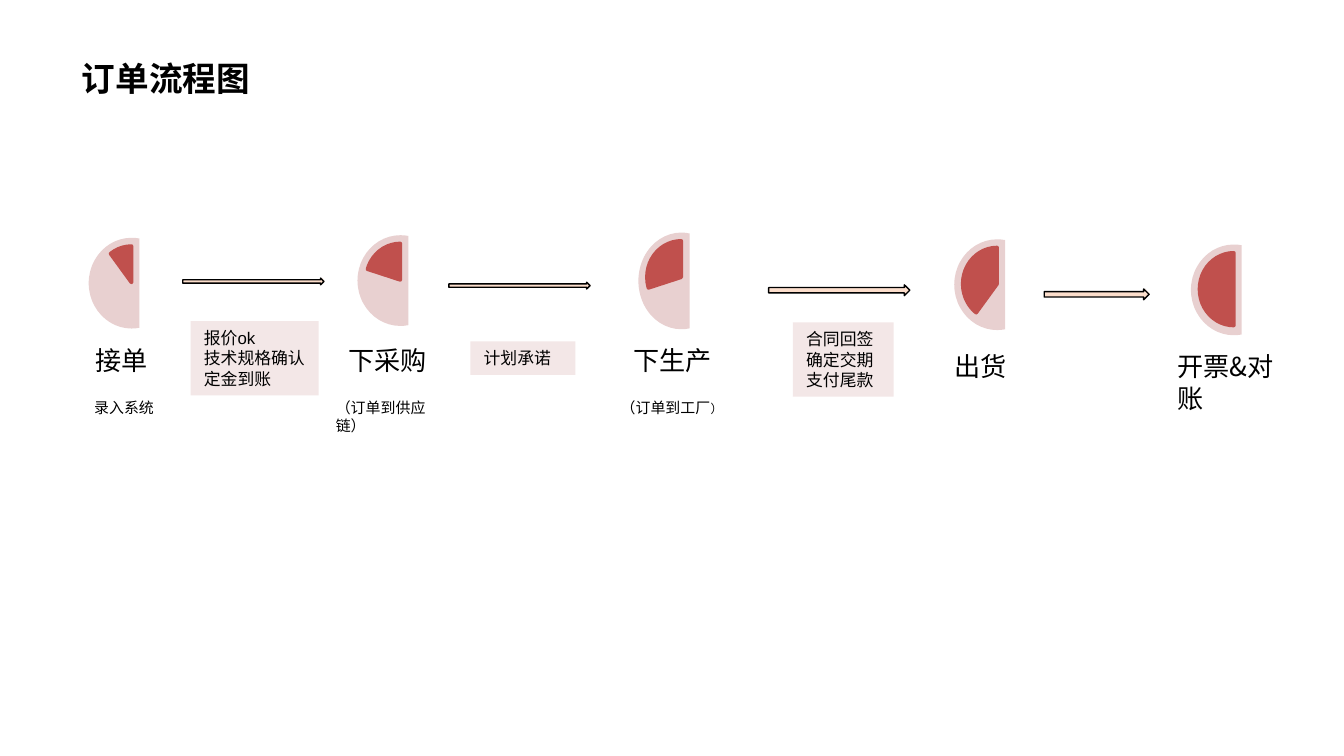
from lxml import etree
from pptx import Presentation
from pptx.dml.color import RGBColor
from pptx.enum.shapes import MSO_SHAPE
from pptx.enum.text import MSO_ANCHOR, PP_ALIGN
from pptx.oxml.ns import qn
from pptx.util import Pt

CHORD, PIE = MSO_SHAPE.CHORD, MSO_SHAPE.PIE
RECTANGLE, RIGHT_ARROW = MSO_SHAPE.RECTANGLE, MSO_SHAPE.RIGHT_ARROW
TOP, BOTTOM = MSO_ANCHOR.TOP, MSO_ANCHOR.BOTTOM
LEFT = PP_ALIGN.LEFT

THEME = {
    "cjk": "Noto Sans CJK SC", "latin": "Arial",
    "ink": "000000", "dial": "E8D0D0", "progress": "C0504D",
    "arrow": [(0, "FDCAAC"), (50, "FBBF9C"), (100, "FFB68A")], "alpha": 50,
    "title": 18, "stage": 14, "note": 9, "detail": 8, "small": 6.5,
}
DEFAULT_INSETS = (7.2, 3.6, 7.2, 3.6)
EVEN_INSETS = (3.6, 3.6, 3.6, 3.6)
NO_INSETS = (0, 0, 0, 0)
NOTE_INSETS = (7.2, 3.6, 0, 3.6)

TITLE = "订单流程图"
TITLE_BOX = (36.7, 27.4, 429.8, 29)
STAGES = [
    {"name": "接单", "dial": (47.5, 127.4, 48.6), "box": (51.1, 184.3, 31, 17.3)},
    {"name": "下采购", "dial": (191.5, 126, 48.6), "box": (186.5, 184.3, 56.2, 17.3)},
    {"name": "下生产", "dial": (342, 124.6, 51.8), "box": (339.1, 185, 51.8, 16.6)},
    {"name": "出货", "dial": (511.2, 128.2, 48.6), "box": (511.2, 184.3, 38.2, 20.2)},
    {"name": "开票&对账", "dial": (638, 131, 48.6), "box": (627.1, 184.3, 70.6, 41),
     "format": {"insets": EVEN_INSETS}},
]
STAGE_FORMAT = {"insets": NO_INSETS, "anchor": BOTTOM, "spacing": 0.9}
DETAILS = [
    ([("录入系统", "detail")], (46.8, 210.2, 44.6, 16.6), "cjk", EVEN_INSETS),
    ([("（订单到供应链）", "detail")], (172.8, 210.2, 75.6, 16.6), "cjk", DEFAULT_INSETS),
    ([("（订单到工厂", "detail"), ("）", "small")], (325.4, 210.2, 79.2, 16.6),
     "latin", DEFAULT_INSETS),
]
NOTES = [
    (["报价ok", "技术规格确认", "定金到账"], (102.2, 172.1, 68.6, 39.8)),
    (["计划承诺"], (252, 182.9, 56.2, 18)),
    (["合同回签", "确定交期", "支付尾款"], (424.8, 172.8, 54, 39.8)),
]
ARROWS = [
    (97.9, 149, 75.6, 3.6),
    (240.5, 151.2, 75.6, 3.6),
    (411.8, 152.6, 75.6, 5.8),
    (559.4, 154.8, 56.2, 5.8),
]


def points(box):
    return [Pt(length) for length in box]


def write(holder, paragraphs, font="cjk", bold=False, insets=DEFAULT_INSETS,
          anchor=TOP, spacing=1.0):
    """Fill a text holder with paragraphs given as lists of (text, size name)."""
    frame = holder.text_frame
    frame.word_wrap = True
    frame.vertical_anchor = anchor
    (frame.margin_left, frame.margin_top,
     frame.margin_right, frame.margin_bottom) = points(insets)
    for index, pieces in enumerate(paragraphs):
        paragraph = frame.add_paragraph() if index else frame.paragraphs[0]
        paragraph.alignment = LEFT
        paragraph.line_spacing = spacing
        for text, size in pieces:
            run = paragraph.add_run()
            run.text = text
            run.font.size = Pt(THEME[size])
            run.font.bold = bold
            run.font.name = THEME[font]
            run.font.color.rgb = RGBColor.from_string(THEME["ink"])
            east_asian = etree.SubElement(run.font._element, qn("a:ea"))
            east_asian.set("typeface", THEME["cjk"])


def set_alpha(color):
    etree.SubElement(color, qn("a:alpha")).set("val", str(THEME["alpha"] * 1000))


def add_part(slide, kind, box, color=None, angles=()):
    part = slide.shapes.add_shape(kind, *points(box))
    part.shadow.inherit = False
    part.line.fill.background()
    if color:
        part.fill.solid()
        part.fill.fore_color.rgb = RGBColor.from_string(THEME[color])
    for index, angle in enumerate(angles):
        part.adjustments[index] = angle
    return part


def outline(part, color, width):
    part.line.color.rgb = RGBColor.from_string(THEME[color])
    part.line.width = Pt(width)


def add_dial(slide, step, left, top, height):
    add_part(slide, CHORD, (left, top, 46, height), "dial", (48, 168))
    start = 162 - 108 * step / len(STAGES)
    progress = add_part(slide, PIE, (left + 4.6, top + 4.5, 36.7, 38.9),
                        "progress", (start, 162))
    outline(progress, "progress", 2)


def add_arrow(slide, box):
    arrow = add_part(slide, RIGHT_ARROW, box)
    arrow.fill.gradient()
    arrow.fill.gradient_angle = 270
    stops = arrow._element.spPr.find(qn("a:gradFill")).find(qn("a:gsLst"))
    for stop in list(stops):
        stops.remove(stop)
    for position, value in THEME["arrow"]:
        stop = etree.SubElement(stops, qn("a:gs"), pos=str(position * 1000))
        set_alpha(etree.SubElement(stop, qn("a:srgbClr"), val=value))
    outline(arrow, "ink", 0.75)


def add_note(slide, lines, box):
    note = add_part(slide, RECTANGLE, box, "dial")
    fill = note._element.spPr.find(qn("a:solidFill"))
    set_alpha(fill.find(qn("a:srgbClr")))
    write(note, [[(line, "note")] for line in lines], font="latin", insets=NOTE_INSETS)


def main():
    deck = Presentation()
    deck.slide_width, deck.slide_height = Pt(720), Pt(405)
    slide = deck.slides.add_slide(deck.slide_layouts[5])
    title = slide.shapes.title
    title.left, title.top, title.width, title.height = points(TITLE_BOX)
    write(title, [[(TITLE, "title")]], bold=True)
    for step, stage in enumerate(STAGES, 1):
        add_dial(slide, step, *stage["dial"])
        label = slide.shapes.add_textbox(*points(stage["box"]))
        write(label, [[(stage["name"], "stage")]], **stage.get("format", STAGE_FORMAT))
    for pieces, box, font, insets in DETAILS:
        write(slide.shapes.add_textbox(*points(box)), [pieces], font=font, insets=insets)
    for box in ARROWS:
        add_arrow(slide, box)
    for lines, box in NOTES:
        add_note(slide, lines, box)
    deck.save("out.pptx")


if __name__ == "__main__":
    main()
